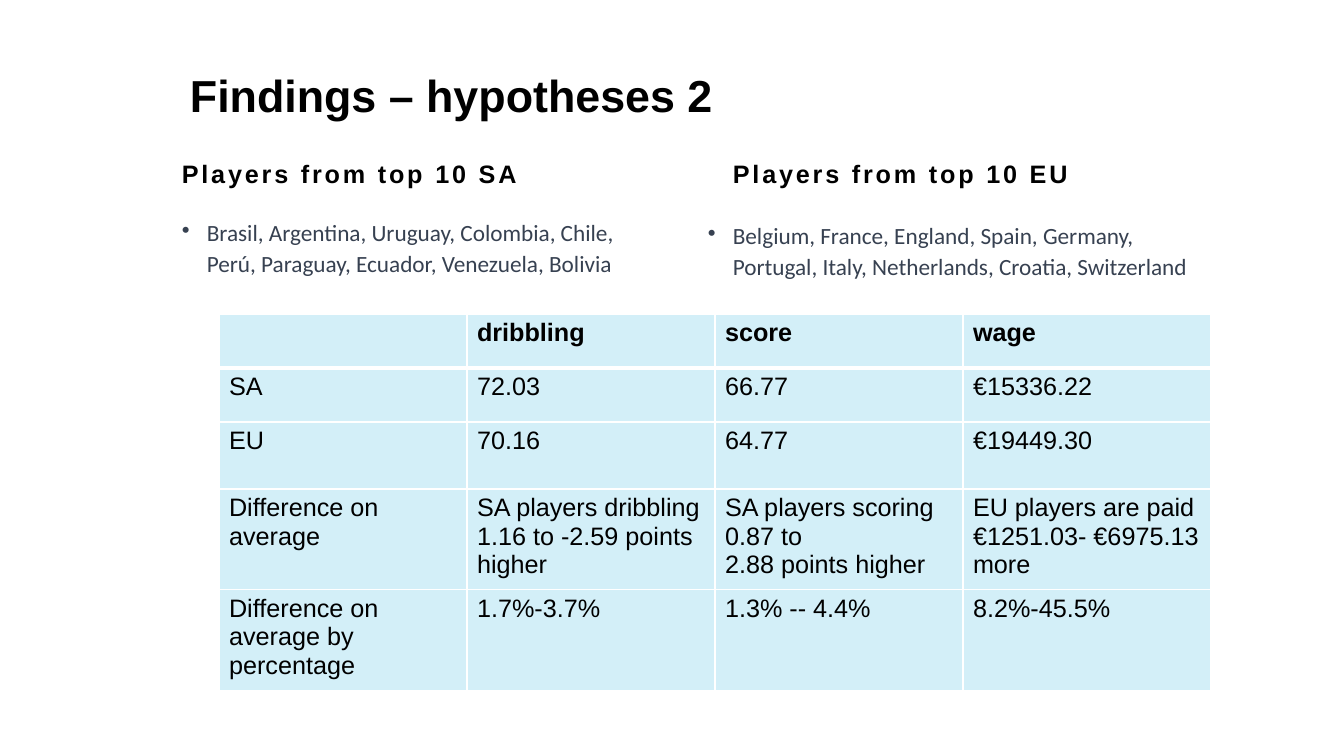
import pptx
import pptx.util
import pptx.dml.color
import pptx.enum.text
import pptx.oxml
import pptx.oxml.ns

ANCHOR = pptx.enum.text.MSO_ANCHOR
THEME = {
    "black": pptx.dml.color.RGBColor.from_string("000000"),
    "slate": pptx.dml.color.RGBColor.from_string("374151"),
    "ice": pptx.dml.color.RGBColor.from_string("D3EFF8"),
    "border": "FFFFFF",
    "heading_font": "Arial",
    "list_font": "Calibri",
    "title_size": 32,
    "table_size": 18,
    "list_size": 16.6,
}


def px(count):
    return round(count * 914400 / 100.8)


def style(para, font, size, color, bold=False):
    para.font.name = THEME[font]
    para.font.size = pptx.util.Pt(THEME[size])
    para.font.color.rgb = THEME[color]
    para.font.bold = bold


deck = pptx.Presentation()
deck.slide_width, deck.slide_height = px(1344), px(756)
page = deck.slides.add_slide(deck.slide_layouts[6])

texts = [
    ("title", 180, 41, 1034, 108, "Findings – hypotheses 2"),
    ("heading", 172, 144, 499, 49, "Players from top 10 SA"),
    ("list", 172, 211, 499, 92,
     "Brasil, Argentina, Uruguay, Colombia, Chile, Perú, Paraguay, Ecuador, Venezuela, Bolivia"),
    ("heading", 723, 144, 390, 49, "Players from top 10 EU"),
    ("list", 698, 214, 499, 108,
     "Belgium, France, England, Spain, Germany, Portugal, Italy, Netherlands, Croatia, Switzerland"),
]
for role, left, top, width, height, words in texts:
    box = page.shapes.add_textbox(px(left), px(top), px(width), px(height))
    frame = box.text_frame
    frame.word_wrap = True
    para = frame.paragraphs[0]
    span = para.add_run()
    span.text = words
    if role == "title":
        frame.vertical_anchor = ANCHOR.MIDDLE
        style(para, "heading_font", "title_size", "black", True)
    elif role == "heading":
        frame.vertical_anchor = ANCHOR.BOTTOM
        para.line_spacing = 1.2
        span._r.get_or_add_rPr().set("spc", "200")
        style(para, "heading_font", "table_size", "black", True)
    else:
        para.line_spacing = 1.1
        properties = para._p.get_or_add_pPr()
        properties.set("marL", str(px(25)))
        properties.set("indent", str(-px(25)))
        bullet = pptx.oxml.parse_xml(
            f'<a:buChar {pptx.oxml.ns.nsdecls("a")} char="•"/>')
        properties.append(bullet)
        style(para, "list_font", "list_size", "slate")

results = [
    ["", "dribbling", "score", "wage"],
    ["SA", "72.03", "66.77", "€15336.22"],
    ["EU", "70.16", "64.77", "€19449.30"],
    ["Difference on average",
     "SA players dribbling 1.16 to -2.59 points higher",
     "SA players scoring 0.87 to\n2.88 points higher",
     "EU players are paid €1251.03- €6975.13 more"],
    ["Difference on average by percentage", "1.7%-3.7%", "1.3% -- 4.4%", "8.2%-45.5%"],
]
row_heights = [54, 54, 67, 95, 94]
table = page.shapes.add_table(
    len(results), len(results[0]), px(219), px(314), px(992), px(sum(row_heights))).table
table.horz_banding = False
for column in table.columns:
    column.width = px(248)
for row, height in zip(table.rows, row_heights):
    row.height = px(height)

for row_index, values in enumerate(results):
    for column_index, value in enumerate(values):
        cell = table.cell(row_index, column_index)
        cell.text = value
        for para in cell.text_frame.paragraphs:
            style(para, "heading_font", "table_size", "black", row_index == 0)
        for side in "LRTB":
            thick = (row_index, side) in [(0, "B"), (1, "T")]
            width = pptx.util.Pt(3 if thick else 1)
            cell._tc.get_or_add_tcPr().append(pptx.oxml.parse_xml(
                f'<a:ln{side} {pptx.oxml.ns.nsdecls("a")} w="{width}"><a:solidFill>'
                f'<a:srgbClr val="{THEME["border"]}"/></a:solidFill></a:ln{side}>'))
        cell.fill.solid()
        cell.fill.fore_color.rgb = THEME["ice"]

deck.save("out.pptx")
